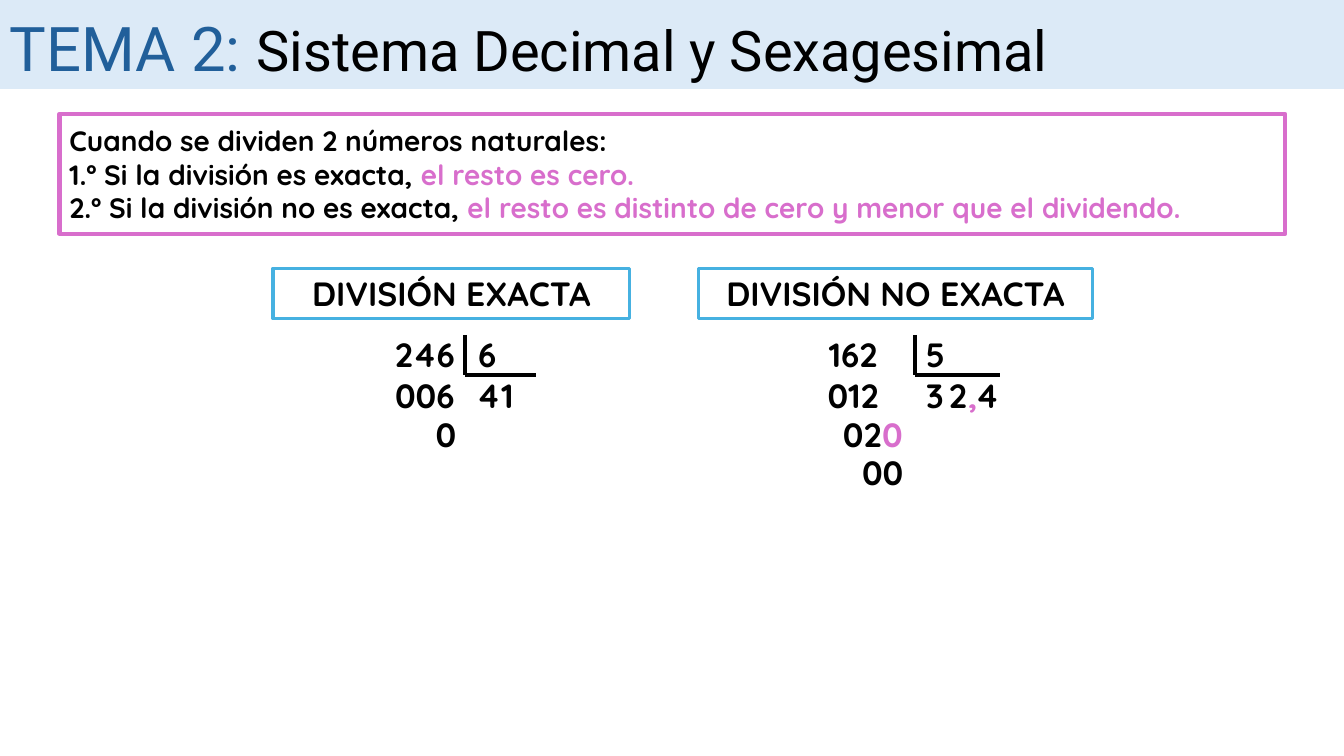
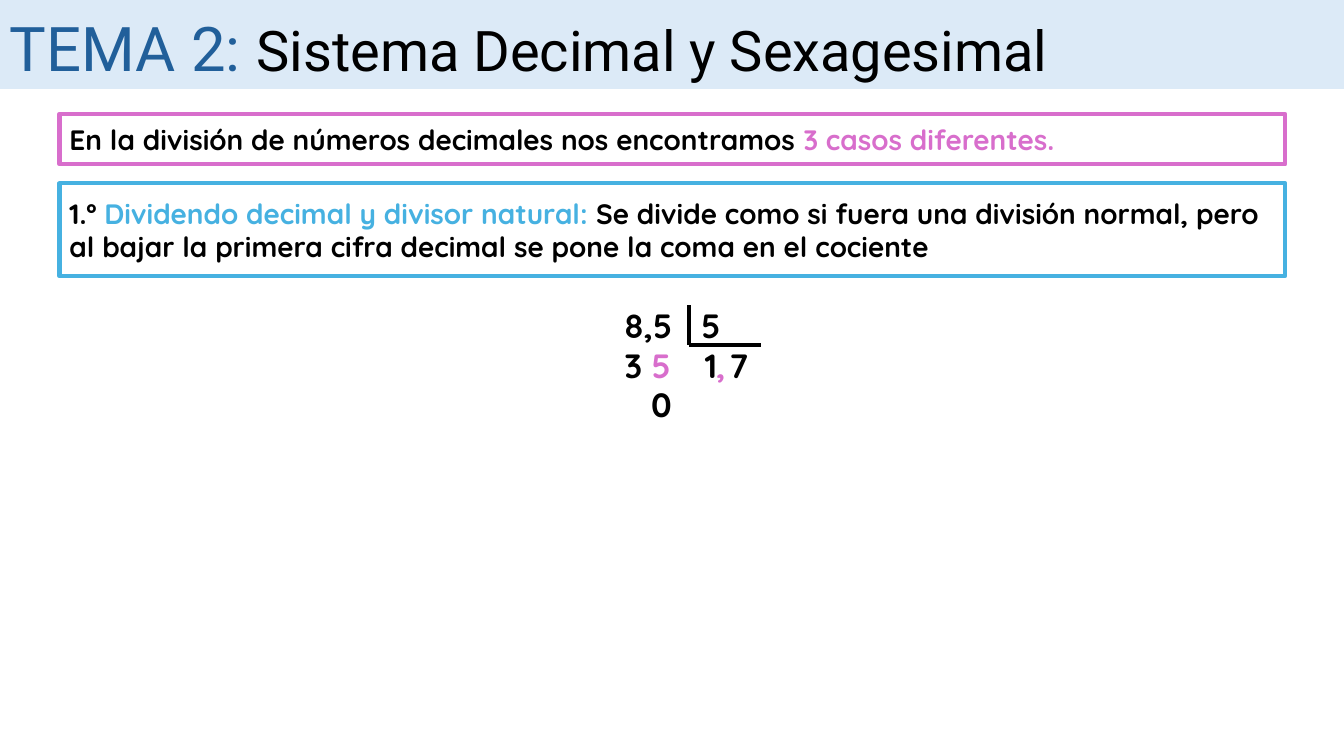
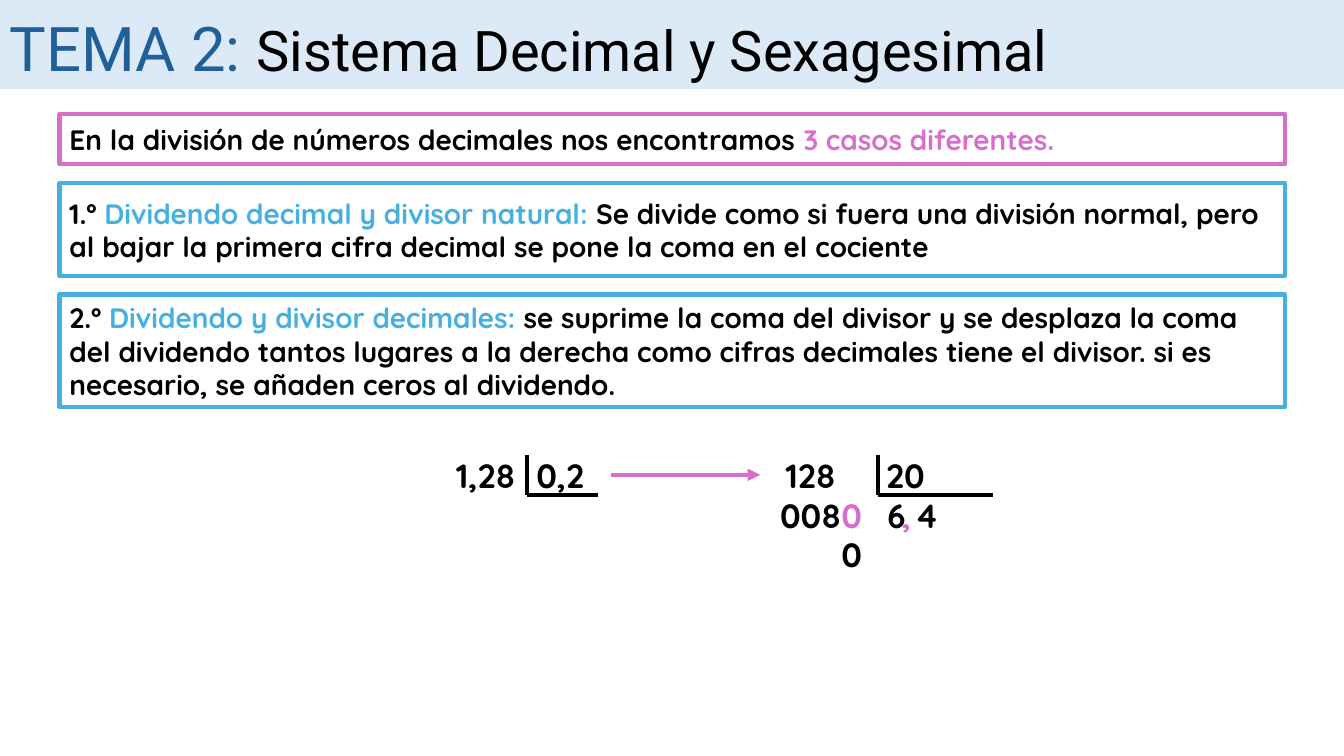
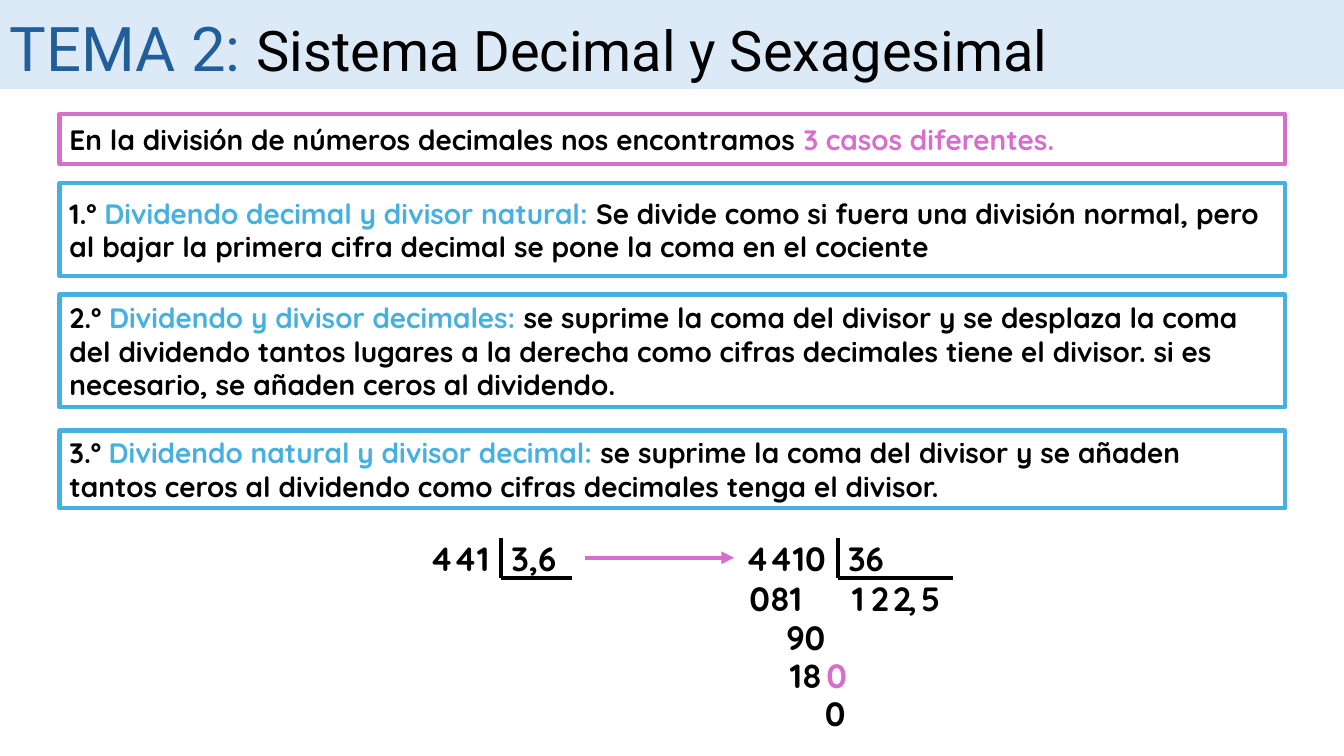
"""Build four slides on dividing natural and decimal numbers."""
from dataclasses import dataclass
from typing import NamedTuple

from lxml.etree import SubElement
from pptx import Presentation
from pptx.dml.color import RGBColor as RGB
from pptx.enum.shapes import MSO_CONNECTOR as CONN, MSO_SHAPE as SHAPE
from pptx.enum.text import MSO_ANCHOR as ANCHOR, PP_ALIGN as ALIGN
from pptx.oxml.ns import qn
from pptx.util import Cm, Pt


@dataclass(frozen=True)
class Theme:
    ink: RGB = RGB(0x00, 0x00, 0x00)
    pink: RGB = RGB(0xD8, 0x6E, 0xCC)
    blue: RGB = RGB(0x46, 0xB1, 0xE1)
    navy: RGB = RGB(0x21, 0x5F, 0x9A)
    band: RGB = RGB(0xDC, 0xEA, 0xF7)
    title_font: str = "Roboto"
    body_font: str = "Quicksand"
    topic_size: int = 44
    title_size: int = 40
    digit_size: int = 24
    body_size: int = 20
    rule: float = 3
    label_rule: float = 2.25


T = Theme()
SLIDE_W, SLIDE_H = 33.87, 19.05
BOX_X, BOX_W = 1.5, 30.89
ROWS = (0, 1.02, 2, 2.97, 3.92)
DIGIT_H, WIDE, NARROW, COMMA, ZERO = 1.27, 2.57, 0.79, 0.66, 0.91
SHORT_BAR, LONG_BAR = 1.8, 2.9


class Digit(NamedTuple):
    text: str
    dx: float
    row: int = 0
    color: RGB = T.ink
    width: float = WIDE
    align: ALIGN = ALIGN.CENTER


class Deck:
    def __init__(self):
        self.prs = Presentation()
        self.prs.slide_width, self.prs.slide_height = Cm(SLIDE_W), Cm(SLIDE_H)
        self.s = None

    def slide(self):
        self.s = self.prs.slides.add_slide(self.prs.slide_layouts[6])
        sp = self.rect(0, 0, SLIDE_W, 2.24, fill=T.band)
        sp.text_frame.vertical_anchor = ANCHOR.BOTTOM
        title = [("TEMA 2: ", T.navy), ("Sistema Decimal y Sexagesimal", T.ink)]
        self.put_text(sp.text_frame, [title], T.title_size, font=T.title_font, bold=False)
        sp.text_frame.paragraphs[0].runs[0].font.size = Pt(T.topic_size)

    def rect(self, x, y, w, h, fill=None, line=None, weight=T.rule):
        sp = self.s.shapes.add_shape(SHAPE.RECTANGLE, Cm(x), Cm(y), Cm(w), Cm(h))
        sp.shadow.inherit = False
        if fill is None:
            sp.fill.background()
        else:
            sp.fill.solid()
            sp.fill.fore_color.rgb = fill
        if line is None:
            sp.line.fill.background()
        else:
            sp.line.color.rgb = line
            sp.line.width = Pt(weight)
        return sp

    def put_text(self, tf, paragraphs, size, align=ALIGN.LEFT, font=T.body_font, bold=True):
        tf.word_wrap = True
        for i, runs in enumerate(paragraphs):
            p = tf.add_paragraph() if i else tf.paragraphs[0]
            p.alignment = align
            for text, color in runs:
                r = p.add_run()
                r.text = text
                r.font.name, r.font.size, r.font.bold = font, Pt(size), bold
                r.font.color.rgb = color

    def box(self, y, h, color, *paragraphs):
        sp = self.rect(BOX_X, y, BOX_W, h, line=color)
        self.put_text(sp.text_frame, paragraphs, T.body_size)

    def label(self, x, w, text):
        sp = self.rect(x, 6.76, w, 1.27, line=T.blue, weight=T.label_rule)
        self.put_text(sp.text_frame, [[(text, T.ink)]], T.digit_size, ALIGN.CENTER)

    def line(self, x1, y1, x2, y2, color=T.ink, arrow=False):
        cx = self.s.shapes.add_connector(CONN.STRAIGHT, Cm(x1), Cm(y1), Cm(x2), Cm(y2))
        cx.line.color.rgb = color
        cx.line.width = Pt(T.rule)
        props = cx.element.spPr
        if arrow:
            SubElement(props.find(qn("a:ln")), qn("a:tailEnd"), type="triangle")
        SubElement(props, qn("a:effectLst"))

    def arrow(self, x, y):
        self.line(x, y + DIGIT_H / 2, x + 3.76, y + DIGIT_H / 2, T.pink, arrow=True)

    def division(self, x, y, bar, *digits):
        self.line(x, y + 0.14, x, y + 1.15)
        self.line(x, y + 1.15, x + bar, y + 1.15)
        for d in digits:
            left, top = x + d.dx - d.width / 2, y + ROWS[d.row]
            tb = self.s.shapes.add_textbox(Cm(left), Cm(top), Cm(d.width), Cm(DIGIT_H))
            self.put_text(tb.text_frame, [[(d.text, d.color)]], T.digit_size, d.align)


CASES = [
    (4.62, 2.34, "1.º ", "Dividendo decimal y divisor natural:",
     " Se divide como si fuera una división normal, pero al bajar la primera cifra "
     "decimal se pone la coma en el cociente"),
    (7.42, 2.84, "2.º ", "Dividendo y divisor decimales: ",
     "se suprime la coma del divisor y se desplaza la coma del dividendo tantos lugares "
     "a la derecha como cifras decimales tiene el divisor. si es necesario, se añaden "
     "ceros al dividendo."),
    (10.85, 1.96, "3.º ", "Dividendo natural y divisor decimal: ",
     "se suprime la coma del divisor y se añaden tantos ceros al dividendo como cifras "
     "decimales tenga el divisor."),
]


def natural_numbers(deck):
    deck.slide()
    deck.box(
        2.87, 3.02, T.pink,
        [("Cuando se dividen 2 números naturales:", T.ink)],
        [("1.º Si la división es exacta, ", T.ink), ("el resto es cero.", T.pink)],
        [("2.º Si la división no es exacta, ", T.ink),
         ("el resto es distinto de cero y menor que el dividendo.", T.pink)])
    deck.label(6.88, 8.99, "DIVISIÓN EXACTA")
    deck.label(17.6, 9.93, "DIVISIÓN NO EXACTA")
    deck.division(
        11.71, 8.3, SHORT_BAR,
        Digit("246", -1), Digit("6", 0.57),
        Digit("006", -1, 1), Digit("4", 0.6, 1), Digit("1", 1.08, 1),
        Digit("0", -0.47, 2))
    deck.division(
        23.06, 8.3, 2.13,
        Digit("162", -1.56), Digit("5", 0.52),
        Digit("012", -1.56, 1), Digit("3", 0.5, 1), Digit("2", 1.08, 1),
        Digit(",", 1.46, 1, T.pink), Digit("4", 1.82, 1),
        Digit("02", -1.33, 2), Digit("0", -0.57, 2, T.pink),
        Digit("00", -1.33, 3, align=ALIGN.RIGHT))


def decimal_cases(deck, count):
    deck.slide()
    deck.box(2.87, 1.27, T.pink,
             [("En la división de números decimales nos encontramos ", T.ink),
              ("3 casos diferentes.", T.pink)])
    for y, h, number, name, rule in CASES[:count]:
        deck.box(y, h, T.blue, [(number, T.ink), (name, T.blue), (rule, T.ink)])


def rewritten(deck, x, y, dividend, divisor):
    deck.division(x, y, SHORT_BAR, Digit(dividend, -1.04), Digit(divisor, 0.84))
    deck.arrow(x + 2.12, y)


def main():
    deck = Deck()
    natural_numbers(deck)

    decimal_cases(deck, 1)
    deck.division(
        17.37, 7.55, SHORT_BAR,
        Digit("8,5", -1.03), Digit("5", 0.55),
        Digit("3", -1.41, 1), Digit("5", -0.7, 1, T.pink),
        Digit("1", 0.55, 1), Digit(",", 0.8, 1, T.pink), Digit("7", 1.16, 1, width=NARROW),
        Digit("0", -0.7, 2))

    decimal_cases(deck, 2)
    rewritten(deck, 13.28, 11.33, "1,28", "0,2")
    deck.division(
        22.12, 11.33, LONG_BAR,
        Digit("128", -1.69), Digit("20", 0.7),
        Digit("008", -1.69, 1), Digit("0", -0.71, 1, T.pink, ZERO),
        Digit("6", 0.39, 1, width=NARROW), Digit(",", 0.69, 1, T.pink, COMMA),
        Digit("4", 1.08, 1, width=NARROW),
        Digit("0", -0.71, 2, width=ZERO))

    decimal_cases(deck, 3)
    rewritten(deck, 12.62, 13.42, "441", "3,6")
    deck.division(
        21.11, 13.42, LONG_BAR,
        Digit("4410", -1.31), Digit("36", 0.72),
        Digit("081", -1.56, 1), Digit("1", 0.52, 1),
        Digit("2", 0.98, 1, width=NARROW), Digit("2", 1.54, 1, width=NARROW),
        Digit(",", 1.85, 1, width=COMMA), Digit("5", 2.25, 1, width=NARROW),
        Digit("90", -0.8, 2),
        Digit("18", -0.8, 3), Digit("0", -0.08, 3, T.pink, ZERO),
        Digit("0", -0.06, 4, width=1.65))

    deck.prs.save("out.pptx")


if __name__ == "__main__":
    main()
